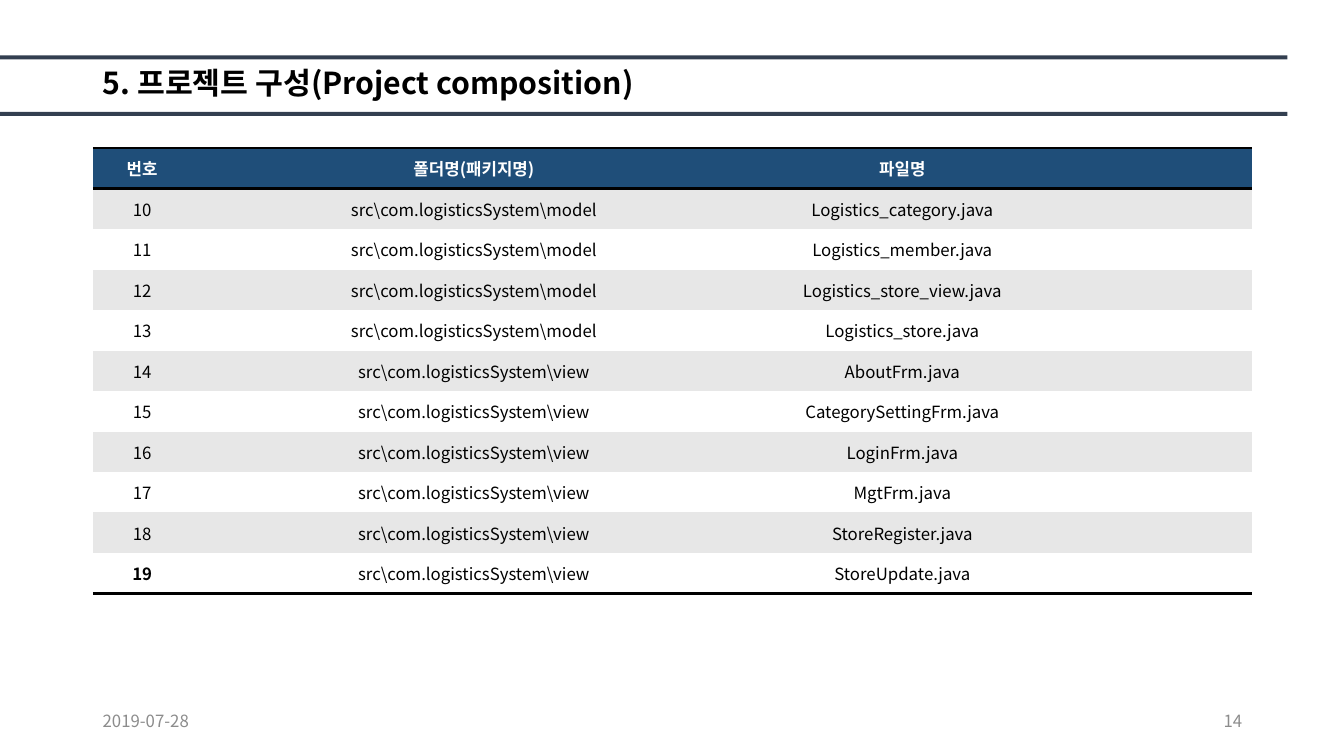
from lxml import etree
from pptx import Presentation
from pptx.dml.color import RGBColor
from pptx.enum.shapes import MSO_SHAPE
from pptx.enum.text import MSO_ANCHOR, PP_ALIGN
from pptx.oxml.ns import qn
from pptx.util import Inches, Pt

RECT = MSO_SHAPE.RECTANGLE
MIDDLE = MSO_ANCHOR.MIDDLE
LEFT, CENTER, RIGHT = PP_ALIGN.LEFT, PP_ALIGN.CENTER, PP_ALIGN.RIGHT

FONT = "Noto Sans CJK KR"
NO_STYLE = "{2D5ABB26-0587-4C30-8999-92F81FD0307C}"
COLORS = {
    "rule": "333F50",
    "header": "1F4E79",
    "band": "E7E7E7",
    "white": "FFFFFF",
    "black": "000000",
    "footer": "8C8C8C",
}
WIDTH, HEIGHT = 13.33, 7.5
MARGIN, CONTENT_W = 0.92, 11.5
TABLE_TOP, TABLE_H = 1.47, 4.42
COLUMNS = (0.98, 5.6, 2.9, 2.02)
FIRST_NUMBER = 10
HEADINGS = ("번호", "폴더명(패키지명)", "파일명", "")
PACKAGES = {
    "model": ("Logistics_category", "Logistics_member",
              "Logistics_store_view", "Logistics_store"),
    "view": ("AboutFrm", "CategorySettingFrm", "LoginFrm",
             "MgtFrm", "StoreRegister", "StoreUpdate"),
}


def color(name):
    return RGBColor.from_string(COLORS[name])


def paint(shape, name):
    shape.fill.solid()
    shape.fill.fore_color.rgb = color(name)


def write(tf, text, size, name, bold=False, align=LEFT):
    tf.text = text
    p = tf.paragraphs[0]
    p.alignment = align
    for r in p.runs:
        r.font.size = Pt(size)
        r.font.bold = bold
        r.font.name = FONT
        r.font.color.rgb = color(name)
        etree.SubElement(r.font._element, qn("a:ea"), typeface=FONT)
    if not p.runs:
        etree.SubElement(p._p, qn("a:endParaRPr"), sz=str(size * 100))
    return p


def add_text(s, text, box, size, name, bold=False, align=LEFT):
    tf = s.shapes.add_textbox(*map(Inches, box)).text_frame
    tf.word_wrap = True
    tf.vertical_anchor = MIDDLE
    return write(tf, text, size, name, bold, align)


def add_rule(s, top):
    sp = s.shapes.add_shape(RECT, 0, Inches(top), Inches(12.77), Inches(0.04))
    sp.shadow.inherit = False
    paint(sp, "rule")
    sp.line.fill.background()


def add_border(cell, side):
    ln = etree.Element(qn(f"a:ln{side}"), w=str(Pt(2)))
    fill = etree.SubElement(ln, qn("a:solidFill"))
    etree.SubElement(fill, qn("a:srgbClr"), val=COLORS["black"])
    tc_pr = cell._tc.get_or_add_tcPr()
    tc_pr.insert(len(tc_pr.findall(qn("a:lnT"))), ln)


def table_rows():
    files = [(package, name) for package, names in PACKAGES.items() for name in names]
    body = [(str(number), f"src\\com.logisticsSystem\\{package}", f"{name}.java", "")
            for number, (package, name) in enumerate(files, FIRST_NUMBER)]
    return [HEADINGS] + body


def add_file_table(s):
    rows = table_rows()
    last = len(rows) - 1
    box = map(Inches, (MARGIN, TABLE_TOP, CONTENT_W, TABLE_H))
    table = s.shapes.add_table(len(rows), len(COLUMNS), *box).table
    table._tbl.tblPr.find(qn("a:tableStyleId")).text = NO_STYLE
    for column, width in zip(table.columns, COLUMNS):
        column.width = Inches(width)
    for i, texts in enumerate(rows):
        table.rows[i].height = Inches(TABLE_H / len(rows))
        header = i == 0
        fill = "header" if header else "band" if i % 2 else "white"
        sides = "TB" if header else "B" if i == last else ""
        for j, text in enumerate(texts):
            cell = table.cell(i, j)
            cell.vertical_anchor = MIDDLE
            bold = header or (i == last and j == 0)
            write(cell.text_frame, text, 12, "white" if header else "black", bold, CENTER)
            paint(cell, fill)
            for side in sides:
                add_border(cell, side)


def main():
    prs = Presentation()
    prs.slide_width, prs.slide_height = Inches(WIDTH), Inches(HEIGHT)
    s = prs.slides.add_slide(prs.slide_layouts[6])
    title = add_text(s, "5. 프로젝트 구성(Project composition)",
                     (MARGIN, 0.61, CONTENT_W, 0.46), 21.6, "black", True)
    title.line_spacing = 0.9
    for top in (0.55, 1.11):
        add_rule(s, top)
    footer_w = 3
    right = MARGIN + CONTENT_W - footer_w
    for text, left, align in (("2019-07-28", MARGIN, LEFT), ("14", right, RIGHT)):
        add_text(s, text, (left, 6.95, footer_w, 0.4), 12, "footer", align=align)
    add_file_table(s)
    prs.save("out.pptx")


if __name__ == "__main__":
    main()
